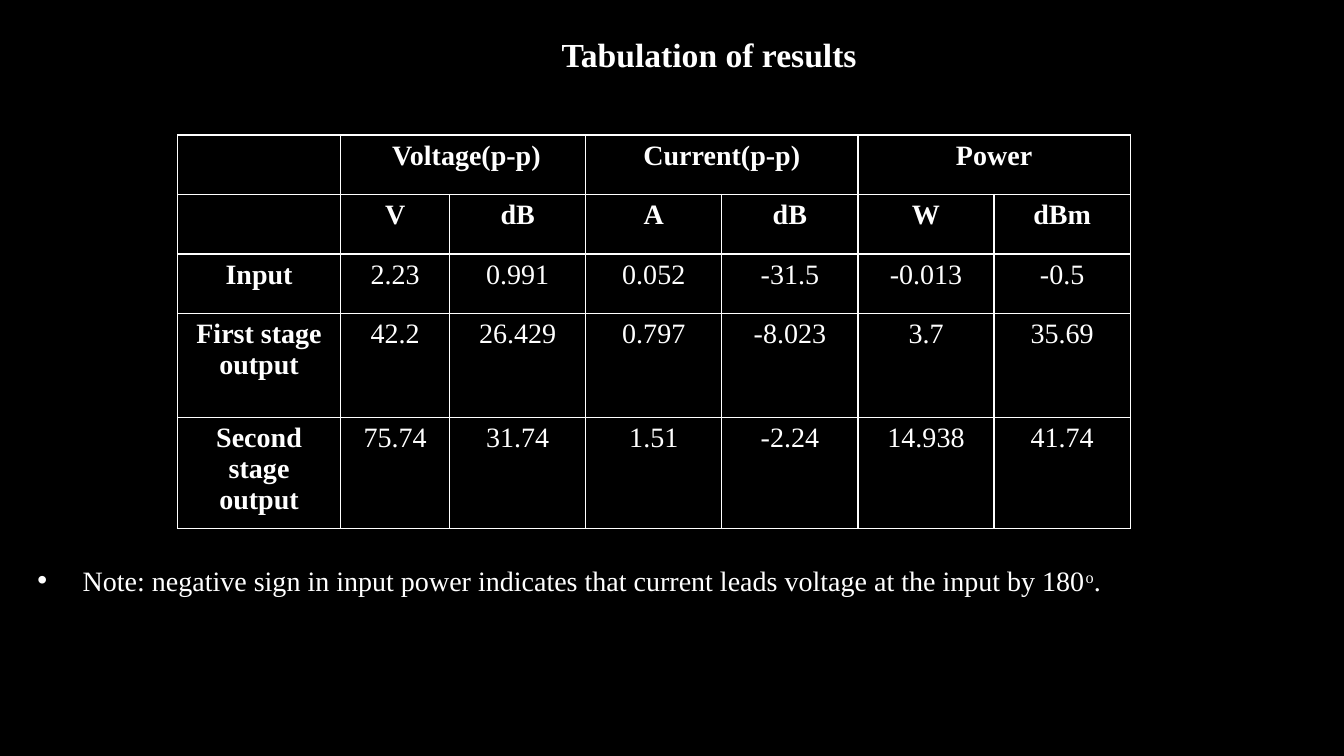
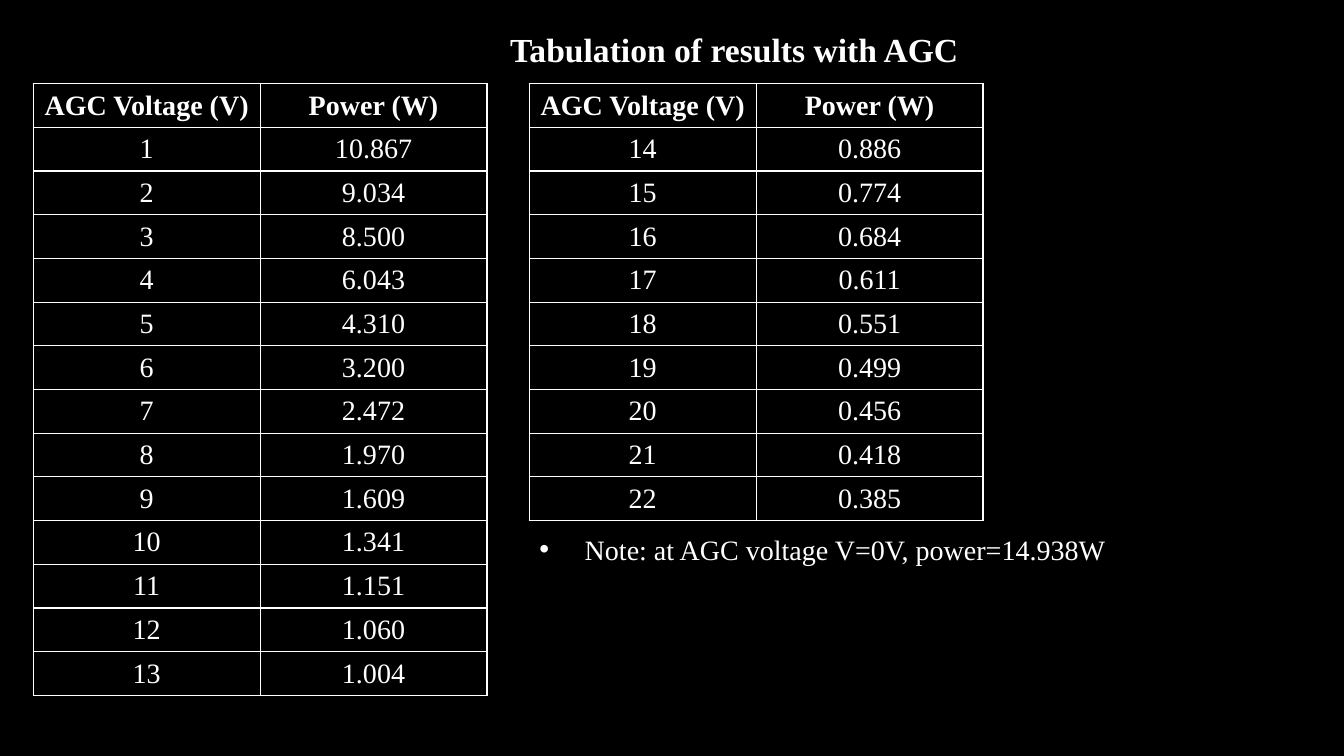
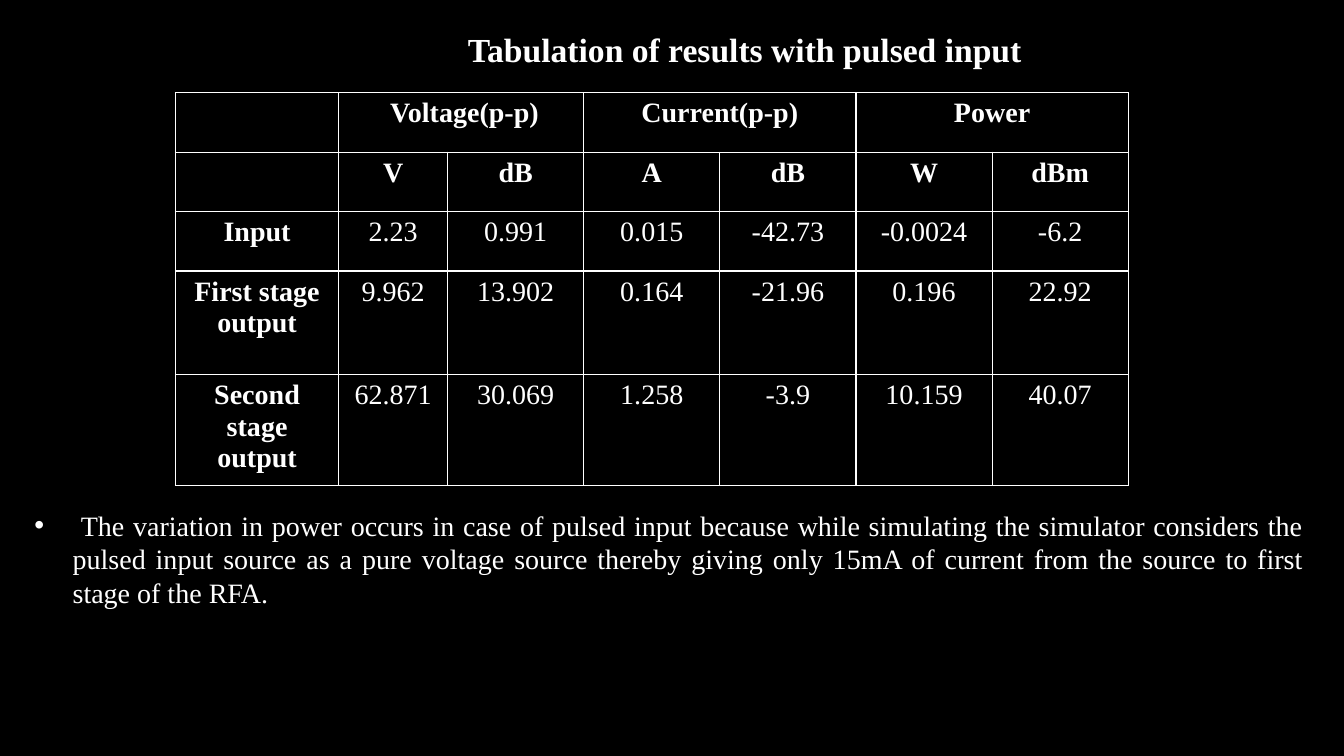
from lxml.etree import SubElement
from pptx import Presentation
from pptx.dml.color import RGBColor
from pptx.enum.text import MSO_ANCHOR, MSO_AUTO_SIZE, PP_ALIGN
from pptx.oxml.ns import qn
from pptx.util import Inches, Pt

BLACK = RGBColor(0x00, 0x00, 0x00)
WHITE = RGBColor(0xFF, 0xFF, 0xFF)
FONT = "Times New Roman"
HEAD, BODY = 24, 20

STAGE_COLS = [1.62, 1.08] + [1.35] * 5
STAGE_ROWS = [0.59, 0.59, 0.59, 1.03, 1.1]
STAGE_HEAD = [
    ["", " Voltage(p-p)", "", "Current(p-p)", "", "Power", ""],
    ["", "V", "dB", "A", "dB", "W", "dBm"],
]
STAGES = ["Input", "First stage output", "Second stage output"]
SINE = [
    ["2.23", "0.991", "0.052", "-31.5", "-0.013", "-0.5"],
    ["42.2", "26.429", "0.797", "-8.023", "3.7", "35.69"],
    ["75.74", "31.74", "1.51", "-2.24", "14.938", "41.74"],
]
PULSE = [
    ["2.23", "0.991", "0.015", "-42.73", "-0.0024", "-6.2"],
    ["9.962", "13.902", "0.164", "-21.96", "0.196", "22.92"],
    ["62.871", "30.069", "1.258", "-3.9", "10.159", "40.07"],
]
AGC_HEAD = ["AGC Voltage (V)", "Power (W)"]
AGC_TOP, AGC_ROW, AGC_COL = 0.83, 6.07 / 14, 2.25
AGC_POWER = [
    "10.867", "9.034", "8.500", "6.043", "4.310", "3.200", "2.472", "1.970",
    "1.609", "1.341", "1.151", "1.060", "1.004", "0.886", "0.774", "0.684",
    "0.611", "0.551", "0.499", "0.456", "0.418", "0.385",
]
AGC_SPLIT = 13


def write(para, text, size=BODY, bold=False, raised=False):
    run = para.add_run()
    run.text = text
    font = run.font
    font.name, font.size, font.bold = FONT, Pt(size), bold
    font.color.rgb = WHITE
    if raised:
        font._element.set("baseline", "30000")


def place(shape, box):
    shape.left, shape.top, shape.width, shape.height = map(Inches, box)


def add_title(slide, text, box):
    title = slide.shapes.title
    place(title, box)
    frame = title.text_frame
    frame.word_wrap = False
    frame.auto_size = MSO_AUTO_SIZE.NONE
    para = frame.paragraphs[0]
    para.alignment = PP_ALIGN.LEFT
    write(para, text, HEAD, bold=True)


def add_note(slide, parts, box, align=PP_ALIGN.LEFT):
    """Fill the body with one bullet; parts holds (text, raised) pairs."""
    body = slide.placeholders[1]
    place(body, box)
    frame = body.text_frame
    frame.word_wrap = True
    frame.auto_size = MSO_AUTO_SIZE.NONE
    para = frame.paragraphs[0]
    para.alignment = align
    para.space_before = Pt(0)
    props = para._p.get_or_add_pPr()
    props.set("marL", str(Inches(0.38)))
    props.set("indent", str(-Inches(0.38)))
    tint = SubElement(props, qn("a:buClr"))
    SubElement(tint, qn("a:srgbClr"), val=str(WHITE))
    SubElement(props, qn("a:buFont"), typeface="Arial")
    SubElement(props, qn("a:buChar"), char="•")
    for text, raised in parts:
        write(para, text, raised=raised)


def style_cell(cell):
    props = cell._tc.get_or_add_tcPr()
    for side in ("lnL", "lnR", "lnT", "lnB"):
        line = SubElement(props, qn(f"a:{side}"), w=str(Pt(1)))
        fill = SubElement(line, qn("a:solidFill"))
        SubElement(fill, qn("a:srgbClr"), val=str(WHITE))
    cell.fill.background()


def add_grid(slide, data, left, top, cols, rows, is_bold, anchor=MSO_ANCHOR.TOP):
    box = map(Inches, (left, top, sum(cols), sum(rows)))
    table = slide.shapes.add_table(len(rows), len(cols), *box).table
    table.first_row = table.horz_banding = False
    for col, width in zip(table.columns, cols):
        col.width = Inches(width)
    for row, high in zip(table.rows, rows):
        row.height = Inches(high)
    for r, line in enumerate(data):
        for c, text in enumerate(line):
            cell = table.cell(r, c)
            style_cell(cell)
            cell.vertical_anchor = anchor
            if text:
                para = cell.text_frame.paragraphs[0]
                para.alignment = PP_ALIGN.CENTER
                write(para, text, bold=is_bold(r, c))
    return table


def add_stages(slide, values, left, top):
    data = STAGE_HEAD + [[name] + row for name, row in zip(STAGES, values)]
    table = add_grid(slide, data, left, top, STAGE_COLS, STAGE_ROWS,
                     lambda r, c: r < 2 or c == 0)
    for c in (1, 3, 5):
        table.cell(0, c).merge(table.cell(0, c + 1))


def add_agc(slide, pairs, left):
    data = [AGC_HEAD] + pairs
    add_grid(slide, data, left, AGC_TOP, [AGC_COL] * 2, [AGC_ROW] * len(data),
             lambda r, c: r == 0, MSO_ANCHOR.MIDDLE)


def main():
    deck = Presentation()
    deck.slide_width, deck.slide_height = Inches(13.33), Inches(7.5)
    back = deck.slide_master.background.fill
    back.solid()
    back.fore_color.rgb = BLACK
    sine, agc, pulse = [deck.slides.add_slide(deck.slide_layouts[1])
                        for _ in range(3)]

    add_title(sine, "Tabulation of results", (5.47, 0.29, 3.24, 0.5))
    add_stages(sine, SINE, 1.76, 1.34)
    add_note(sine, [
        (" Note: negative sign in input power indicates that current leads "
         "voltage at the input by 180", False),
        ("o", True), (".", False),
    ], (0.27, 5.54, 12.79, 0.44))

    add_title(agc, "Tabulation of results with AGC", (4.96, 0.24, 4.69, 0.5))
    pairs = [[str(volt), power] for volt, power in enumerate(AGC_POWER, 1)]
    add_agc(agc, pairs[:AGC_SPLIT], 0.33)
    add_agc(agc, pairs[AGC_SPLIT:], 5.25)
    add_note(agc, [(" Note: at AGC voltage V=0V, power=14.938W", False)],
             (5.25, 5.23, 7.82, 0.44))

    add_title(pulse, "Tabulation of results with pulsed input",
              (4.54, 0.24, 5.75, 0.5))
    add_stages(pulse, PULSE, 1.74, 0.92)
    add_note(pulse, [
        (" The variation in power occurs in case of pulsed input because "
         "while simulating the simulator considers the pulsed input source "
         "as a pure voltage source thereby giving only 15mA of current from "
         "the source to first stage of the RFA.", False),
    ], (0.24, 4.99, 12.79, 1.11), PP_ALIGN.JUSTIFY)

    deck.save("out.pptx")


if __name__ == "__main__":
    main()
